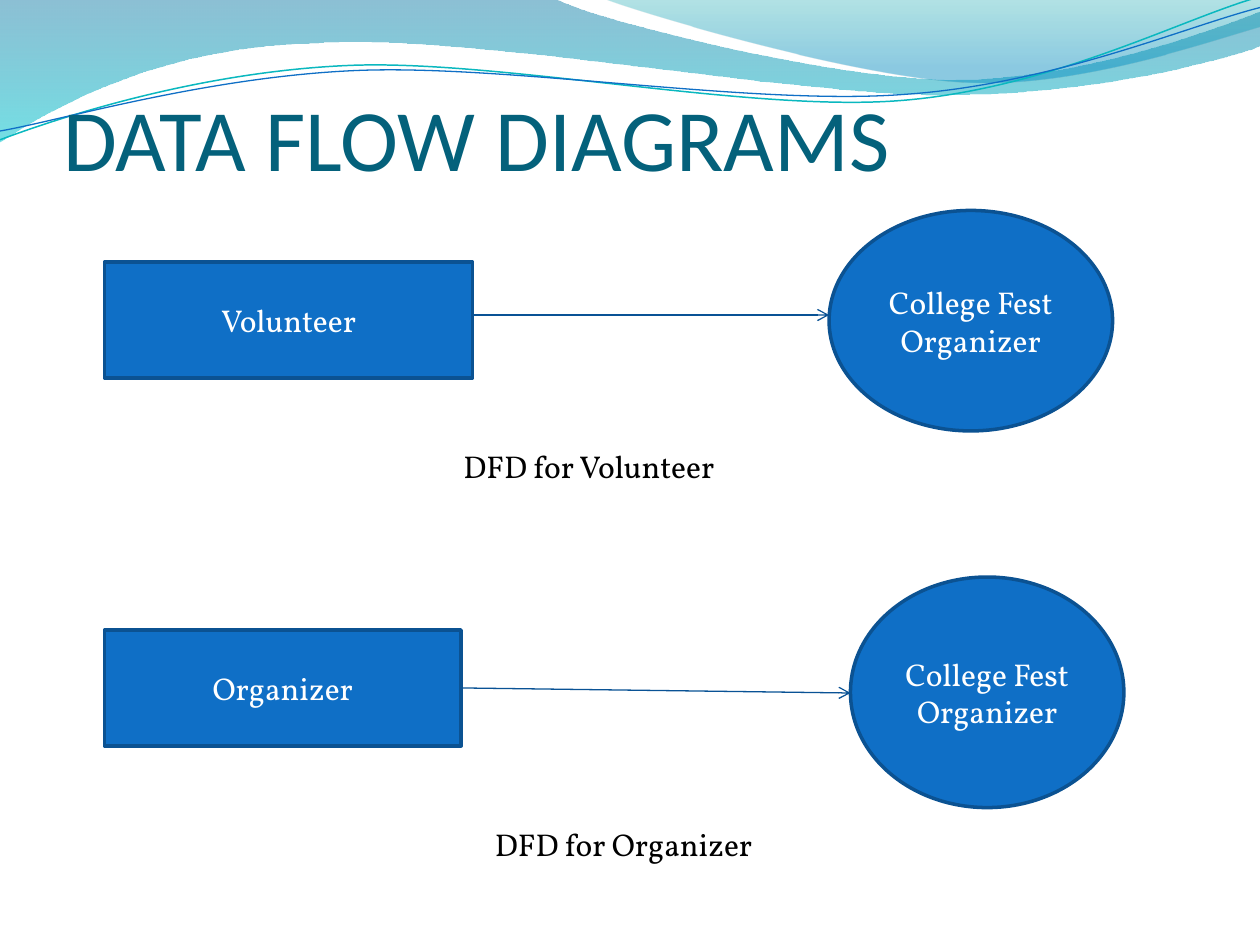
from pptx import Presentation
from pptx.dml.color import RGBColor
from pptx.enum.shapes import MSO_CONNECTOR, MSO_SHAPE
from pptx.enum.text import MSO_ANCHOR, MSO_AUTO_SIZE, PP_ALIGN
from pptx.oxml.ns import qn
from pptx.util import Inches, Pt
from lxml import etree

STRAIGHT = MSO_CONNECTOR.STRAIGHT
RECTANGLE, CIRCLE = MSO_SHAPE.RECTANGLE, MSO_SHAPE.FLOWCHART_CONNECTOR
BOTTOM, MIDDLE, TOP = MSO_ANCHOR.BOTTOM, MSO_ANCHOR.MIDDLE, MSO_ANCHOR.TOP
LEFT, CENTER = PP_ALIGN.LEFT, PP_ALIGN.CENTER
NO_AUTOFIT = MSO_AUTO_SIZE.NONE
TITLE_ONLY = 5

TITLE_FONT, BODY_FONT = "Calibri", "Vollkorn"
TITLE_TEAL = RGBColor(0x04, 0x61, 0x7B)
BLUE = RGBColor(0x0F, 0x6F, 0xC6)
OUTLINE_BLUE = RGBColor(0x0B, 0x52, 0x92)
ARROW_BLUE = RGBColor(0x09, 0x52, 0x95)
WAVE_AQUA = RGBColor(0x0A, 0xB8, 0xBF)
WHITE = RGBColor(0xFF, 0xFF, 0xFF)
BLACK = RGBColor(0, 0, 0)
BACK_WAVE_STOPS = [
    (0, RGBColor(0x00, 0x74, 0xA1), 45),
    (1, RGBColor(0x00, 0xC6, 0xCF), 55),
]
FRONT_WAVE_STOPS = [
    (0, RGBColor(0x00, 0xA1, 0xA9), 30),
    (0.8, RGBColor(0x00, 0x8B, 0xBF), 45),
]

BACK_WAVE = [
    (0, 0), (4.4, -0.01), (4.76, 0.17, 6.64, 0.63, 7.58, 0.63),
    (8.53, 0.63, 9.58, 0.26, 10, 0.09), (10.01, 0.36),
    (9.83, 0.44, 8.7, 0.76, 7.46, 0.75), (6.22, 0.75, 3.82, 0.28, 2.57, 0.34),
    (1.29, 0.36, 0.46, 0.83, -0.01, 1.13),
]
FRONT_WAVE = [
    (4.79, -0.01), (5.09, 0.11, 6.82, 0.62, 7.69, 0.65),
    (8.56, 0.69, 9.61, 0.32, 10, 0.21), (10, 0),
]
AQUA_LINE = [
    (0, 1.11), (0.48, 0.93, 1.58, 0.57, 2.77, 0.52),
    (3.95, 0.47, 5.93, 0.89, 7.13, 0.8), (8.33, 0.71, 9.38, 0.15, 9.98, -0.02),
]
BLUE_LINE = [
    (0, 1.04), (0.47, 0.96, 1.64, 0.61, 2.83, 0.56),
    (4.03, 0.51, 5.97, 0.84, 7.17, 0.75), (8.36, 0.67, 9.41, 0.21, 10, 0.06),
]


def bend_segment(straight, segment, shape):
    """Turn a straight freeform segment into a cubic curve."""
    curve = etree.Element(qn("a:cubicBezTo"))
    for x, y in zip(segment[::2], segment[1::2]):
        etree.SubElement(curve, qn("a:pt"), x=str(Inches(x) - shape.left),
                         y=str(Inches(y) - shape.top))
    straight.getparent().replace(straight, curve)


def add_outline(page, segments, close):
    """Draw corners and cubic curves as a freeform without shadow."""
    points = [tuple(map(Inches, segment[-2:])) for segment in segments]
    builder = page.shapes.build_freeform(*points[0])
    builder.add_line_segments(points[1:], close=close)
    shape = builder.convert_to_shape()
    shape.shadow.inherit = False
    straights = list(shape._element.spPr.iter(qn("a:lnTo")))
    for straight, segment in zip(straights, segments[1:]):
        if len(segment) == 6:
            bend_segment(straight, segment, shape)
    return shape


def add_wave(page, segments, stops):
    """Draw a translucent wave shaded from top to bottom."""
    wave = add_outline(page, segments, True)
    wave.line.fill.background()
    wave.fill.gradient()
    wave.fill.gradient_angle = 270
    for stop, (position, color, _) in zip(wave.fill.gradient_stops, stops):
        stop.position = position
        stop.color.rgb = color
    colors = wave._element.spPr.iter(qn("a:srgbClr"))
    for color, (_, _, opacity) in zip(colors, stops):
        etree.SubElement(color, qn("a:alpha"), val=str(opacity * 1000))


def add_wave_line(page, segments, color, width):
    """Draw a thin open wave line."""
    wave = add_outline(page, segments, False)
    wave.fill.background()
    wave.line.color.rgb = color
    wave.line.width = Pt(width)


def add_header(page):
    """Draw the wave decoration across the top."""
    add_wave(page, BACK_WAVE, BACK_WAVE_STOPS)
    add_wave(page, FRONT_WAVE, FRONT_WAVE_STOPS)
    add_wave_line(page, AQUA_LINE, WAVE_AQUA, 0.85)
    add_wave_line(page, BLUE_LINE, BLUE, 0.75)


def write_text(frame, lines, font, size, color, align, anchor):
    """Write one paragraph for each line into a text frame."""
    frame.word_wrap = True
    frame.vertical_anchor = anchor
    for index, line in enumerate(lines):
        para = frame.add_paragraph() if index else frame.paragraphs[0]
        para.alignment = align
        span = para.add_run()
        span.text = line
        span.font.name = font
        span.font.size = Pt(size)
        span.font.color.rgb = color


def place_title(page, text, box):
    """Place and format the title placeholder in front of the waves."""
    title = page.shapes.title
    title.left, title.top, title.width, title.height = map(Inches, box)
    frame = title.text_frame
    frame.auto_size = NO_AUTOFIT
    frame.margin_left = frame.margin_right = frame.margin_bottom = 0
    frame.margin_top = Inches(0.05)
    write_text(frame, [text], TITLE_FONT, 50, TITLE_TEAL, LEFT, BOTTOM)
    page.shapes._spTree.append(title._element)


def add_node(page, kind, box, lines):
    """Add a blue labelled node."""
    node = page.shapes.add_shape(kind, *map(Inches, box))
    node.shadow.inherit = False
    node.fill.solid()
    node.fill.fore_color.rgb = BLUE
    node.line.color.rgb = OUTLINE_BLUE
    node.line.width = Pt(2)
    write_text(node.text_frame, lines, BODY_FONT, 18, WHITE, CENTER, MIDDLE)


def add_arrow(page, start, end):
    """Add a thin arrow between two points."""
    arrow = page.shapes.add_connector(STRAIGHT, *map(Inches, start + end))
    arrow.line.color.rgb = ARROW_BLUE
    arrow.line.width = Pt(0.75)
    etree.SubElement(arrow.line._get_or_add_ln(), qn("a:tailEnd"), type="arrow")
    etree.SubElement(arrow._element.spPr, qn("a:effectLst"))


def add_flow(page, actor, actor_box, system_box, arrow_heights, caption_box):
    """Add one flow from an actor to the system, with its caption."""
    add_node(page, RECTANGLE, actor_box, [actor])
    add_node(page, CIRCLE, system_box, ["College Fest", "Organizer"])
    start_y, end_y = arrow_heights
    add_arrow(page, (actor_box[0] + actor_box[2], start_y), (system_box[0], end_y))
    caption = page.shapes.add_textbox(*map(Inches, caption_box))
    write_text(caption.text_frame, [f"DFD for {actor}"], BODY_FONT, 18, BLACK, LEFT, TOP)


def main():
    """Build the slide and save the deck."""
    deck = Presentation()
    deck.slide_width, deck.slide_height = Inches(10), Inches(7.5)
    page = deck.slides.add_slide(deck.slide_layouts[TITLE_ONLY])
    add_header(page)
    place_title(page, "DATA FLOW DIAGRAMS", (0.5, 0.33, 9, 1.17))
    add_flow(page, "Volunteer", (0.83, 2.08, 2.92, 0.92), (6.58, 1.67, 2.25, 1.75),
             (2.5, 2.5), (3.58, 3.5, 3.5, 0.4))
    add_flow(page, "Organizer", (0.83, 5, 2.83, 0.92), (6.75, 4.58, 2.17, 1.83),
             (5.46, 5.5), (3.83, 6.5, 2.75, 0.4))
    deck.save("out.pptx")


if __name__ == "__main__":
    main()
